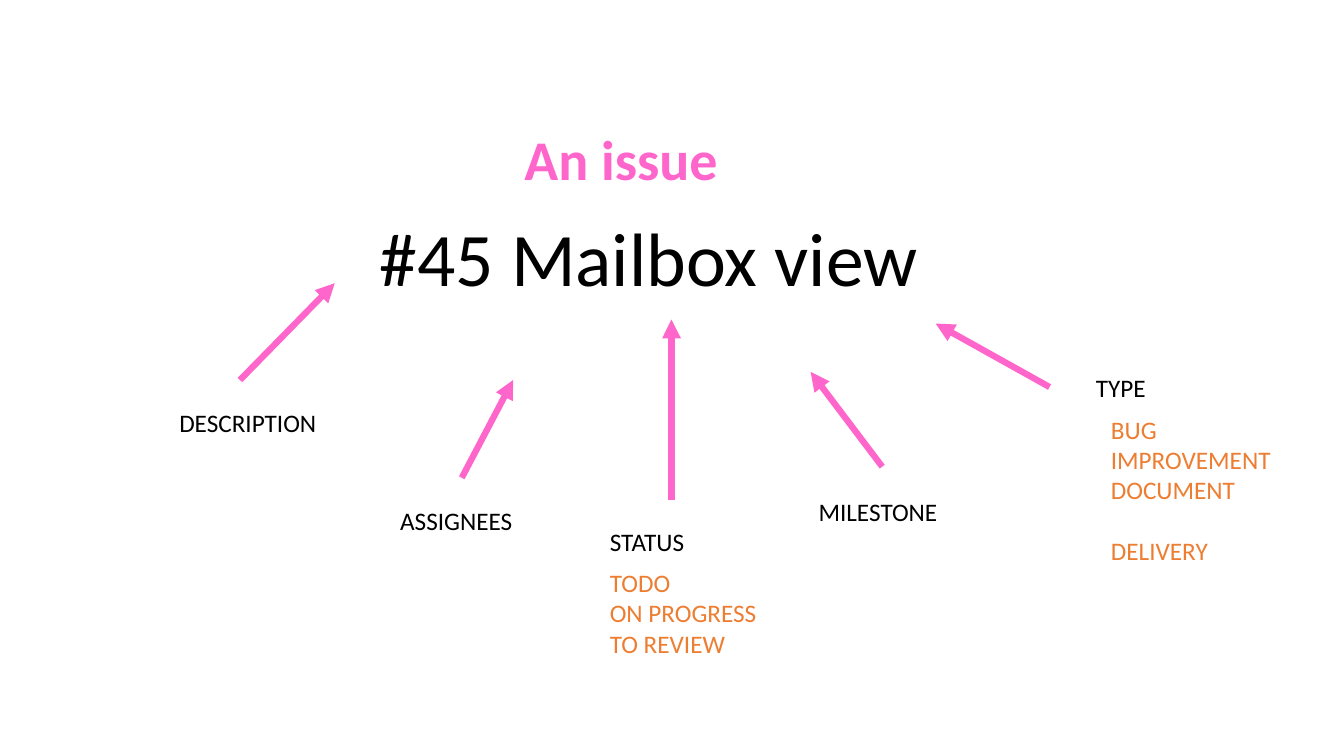
import pptx
import pptx.util
import pptx.dml.color
import pptx.enum.shapes
import pptx.enum.text
import lxml.etree

PINK, BLACK, ORANGE = "FF66CC", "000000", "ED7D31"
Inches, Pt = pptx.util.Inches, pptx.util.Pt
ALIGN = pptx.enum.text.PP_ALIGN

prs = pptx.Presentation()
prs.slide_width, prs.slide_height = Inches(13.33), Inches(7.5)
s = prs.slides.add_slide(prs.slide_layouts[6])


def set_color(fmt, value):
    """Give a font or line format a solid colour from a hex string."""
    fmt.color.rgb = pptx.dml.color.RGBColor.from_string(value)


def add_text(box, lines, color, size=18, bold=False, align=ALIGN.LEFT, wrap=False):
    """Add a text box with one paragraph per line and return its frame."""
    tf = s.shapes.add_textbox(*map(Inches, box)).text_frame
    tf.word_wrap = wrap
    tf.auto_size = pptx.enum.text.MSO_AUTO_SIZE.SHAPE_TO_FIT_TEXT
    for i, line in enumerate(lines):
        p = tf.paragraphs[0] if i == 0 else tf.add_paragraph()
        p.alignment = align
        r = p.add_run()
        r.text = line
        for name, value in {"name": "Calibri", "size": Pt(size), "bold": bold}.items():
            setattr(r.font, name, value)
        set_color(r.font, color)
    return tf


# Heading and the example issue
add_text((5.09, 1.19, 2.14, 0.77), ["An issue"], PINK, 40, True, ALIGN.CENTER)
add_text((3.67, 2.04, 6.44, 1.01), ["#45 Mailbox view"], BLACK, 54, wrap=True)

# Each field: label, label left, top and width, arrow start and end
fields = [
    ("DESCRIPTION", (1.68, 3.99, 1.57), (2.38, 3.77), (3.32, 2.81)),
    ("ASSIGNEES", (3.87, 4.96, 1.32), (4.58, 4.74), (5.09, 3.77)),
    ("STATUS", (5.95, 5.17, 0.94), (6.66, 4.96), (6.66, 3.17)),
    ("MILESTONE", (8.02, 4.87, 1.39), (8.75, 4.63), (8.04, 3.69)),
    ("TYPE", (10.77, 3.64, 0.7), (10.41, 3.84), (9.28, 3.21)),
]
for label, place, start, end in fields:
    add_text((*place, 0.4), [label], BLACK)
    arrow = s.shapes.add_connector(
        pptx.enum.shapes.MSO_CONNECTOR.STRAIGHT, *map(Inches, start + end))
    set_color(arrow.line, PINK)
    arrow.line.width = Pt(4.5)
    ns = pptx.oxml.ns.qn
    lxml.etree.SubElement(arrow.line._get_or_add_ln(), ns("a:tailEnd"), type="triangle")
    lxml.etree.SubElement(arrow._element.spPr, ns("a:effectLst"))

# Possible values; DELIVERY stands one line apart from the other types
add_text((5.95, 5.58, 1.67, 1.01), ["TODO", "ON PROGRESS", "TO REVIEW"], ORANGE)
types = add_text((10.92, 4.06, 1.8, 1.62),
                 ["BUG", "IMPROVEMENT", "DOCUMENT", "DELIVERY"], ORANGE)
types.paragraphs[-1].space_before = Pt(22)

prs.save("out.pptx")
